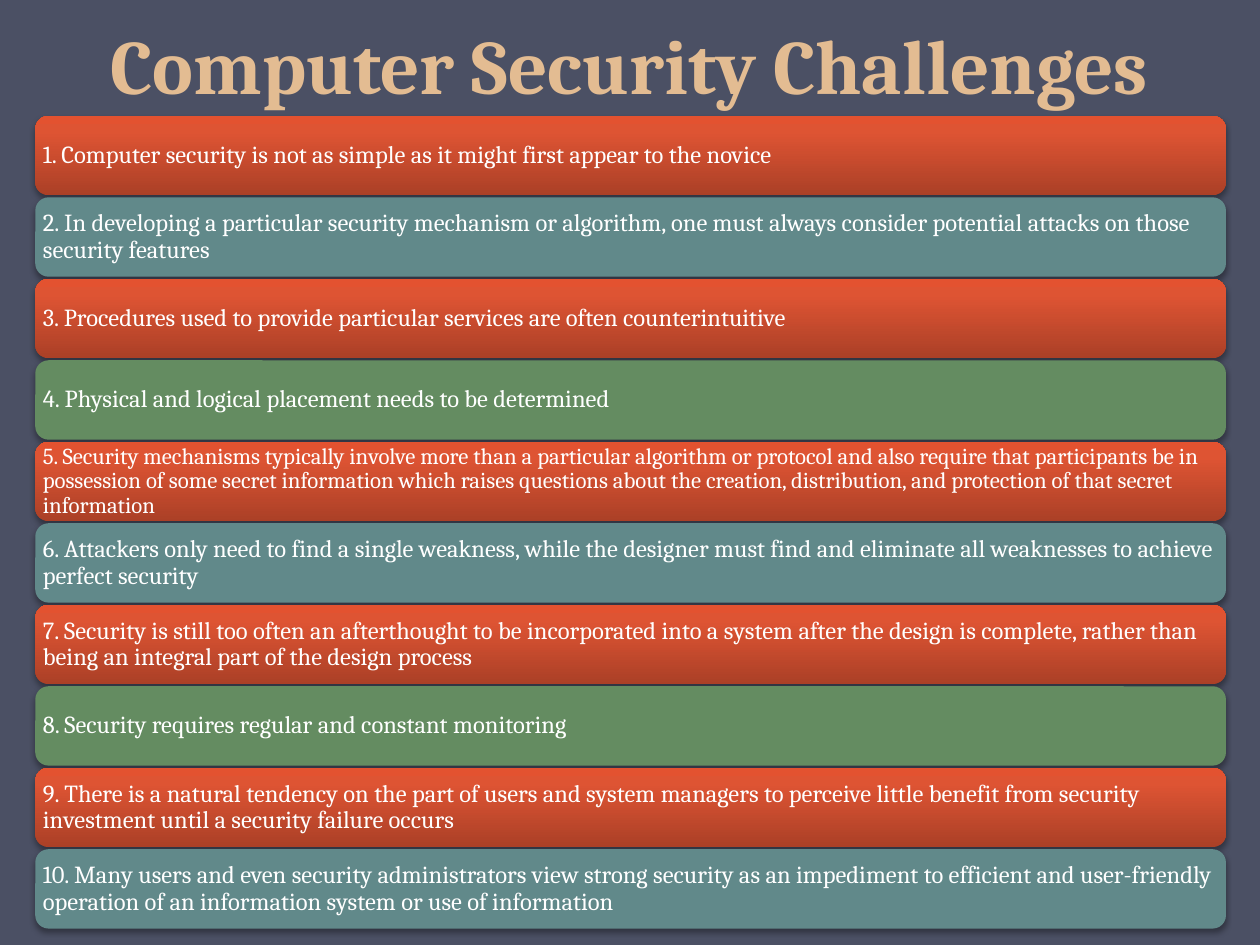
from lxml.etree import SubElement
from pptx import Presentation
from pptx.dml.color import RGBColor
from pptx.enum.shapes import MSO_SHAPE
from pptx.enum.text import MSO_ANCHOR, PP_ALIGN
from pptx.oxml import parse_xml
from pptx.oxml.ns import nsdecls, qn
from pptx.util import Inches, Pt

TITLE = "Computer Security Challenges"
CHALLENGES = [
    "Computer security is not as simple as it might first appear to the novice",
    "In developing a particular security mechanism or algorithm, one must always consider "
    "potential attacks on those security features",
    "Procedures used to provide particular services are often counterintuitive",
    "Physical and logical placement needs to be determined",
    "Security mechanisms typically involve more than a particular algorithm or protocol and "
    "also require that participants be in possession of some secret information which raises "
    "questions about the creation, distribution, and protection of that secret information",
    "Attackers only need to find a single weakness, while the designer must find and "
    "eliminate all weaknesses to achieve perfect security",
    "Security is still too often an afterthought to be incorporated into a system after the "
    "design is complete, rather than being an integral part of the design process",
    "Security requires regular and constant monitoring",
    "There is a natural tendency on the part of users and system managers to perceive little "
    "benefit from security investment until a security failure occurs",
    "Many users and even security administrators view strong security as an impediment to "
    "efficient and user-friendly operation of an information system or use of information",
]

FONT = "Cambria"
SLATE = RGBColor(0x4B, 0x50, 0x64)
SAND = RGBColor(0xE3, 0xBC, 0x92)
RUST = RGBColor(0xCC, 0x5A, 0x3F)
TEAL = RGBColor(0x61, 0x89, 0x8A)
GREEN = RGBColor(0x64, 0x8C, 0x61)
WHITE = RGBColor(0xFF, 0xFF, 0xFF)
BLACK = RGBColor(0, 0, 0)
RED_STOPS = [(0, RGBColor(0xAB, 0x40, 0x27)), (80, RGBColor(0xDE, 0x54, 0x33)),
             (100, RGBColor(0xE3, 0x52, 0x30))]
BAR_FILLS = [RED_STOPS, TEAL, RED_STOPS, GREEN]

BAR_LEFT, BAR_WIDTH, BAR_HEIGHT = 0.28, 9.45, 0.63
FIRST_TOP, LAST_TOP = 0.92, 6.74
BAR_STEP = (LAST_TOP - FIRST_TOP) / (len(CHALLENGES) - 1)
LONG_TEXT = 200


def fill_upward(shape, stops):
    """Gradient that runs from the bottom edge to the top edge."""
    gradient = parse_xml(
        f'<a:gradFill {nsdecls("a")} rotWithShape="1"><a:gsLst/>'
        '<a:lin ang="16200000" scaled="0"/></a:gradFill>')
    for percent, color in stops:
        stop = SubElement(gradient[0], qn("a:gs"), pos=str(percent * 1000))
        SubElement(stop, qn("a:srgbClr"), val=str(color))
    shape._element.spPr.find(qn("a:prstGeom")).addnext(gradient)


def add_soft_shadow(shape):
    shape._element.spPr.append(parse_xml(
        f'<a:effectLst {nsdecls("a")}><a:outerShdw blurRad="{Pt(3.1)}" dist="{Pt(1.8)}" '
        f'dir="5400000" rotWithShape="0"><a:srgbClr val="{BLACK}"><a:alpha val="35000"/>'
        '</a:srgbClr></a:outerShdw></a:effectLst>'))


def write(frame, text, anchor, align, spacing, font):
    frame.word_wrap = True
    frame.vertical_anchor = anchor
    para = frame.paragraphs[0]
    para.alignment, para.line_spacing = align, spacing
    span = para.add_run()
    span.text = text
    span.font.color.rgb = font["color"]
    for name in ("name", "size", "bold"):
        setattr(span.font, name, font[name])
    return span


def add_title(page):
    box = page.shapes.add_textbox(Inches(0.5), 0, Inches(9), Inches(0.92))
    span = write(box.text_frame, TITLE, MSO_ANCHOR.BOTTOM, PP_ALIGN.CENTER, Pt(58),
                 {"name": FONT, "size": Pt(44), "bold": True, "color": SAND})
    span.font._element.insert(0, parse_xml(
        f'<a:ln {nsdecls("a")} w="{Pt(0.83)}"><a:solidFill><a:srgbClr val="{RUST}"/>'
        '</a:solidFill></a:ln>'))


def add_bar(page, index, text):
    bar = page.shapes.add_shape(
        MSO_SHAPE.ROUNDED_RECTANGLE, Inches(BAR_LEFT), Inches(FIRST_TOP + index * BAR_STEP),
        Inches(BAR_WIDTH), Inches(BAR_HEIGHT))
    fill = BAR_FILLS[index % len(BAR_FILLS)]
    if fill is RED_STOPS:
        fill_upward(bar, fill)
    else:
        bar.fill.solid()
        bar.fill.fore_color.rgb = fill
    bar.line.fill.background()
    add_soft_shadow(bar)

    frame = bar.text_frame
    for side in ("left", "right", "top", "bottom"):
        setattr(frame, f"margin_{side}", Inches(0.03))
    size = 13 if len(text) > LONG_TEXT else 14
    write(frame, f"{index + 1}. {text}", MSO_ANCHOR.MIDDLE, PP_ALIGN.LEFT, 0.9,
          {"name": FONT, "size": Pt(size), "bold": False, "color": WHITE})


def main():
    deck = Presentation()
    deck.slide_width, deck.slide_height = Inches(10), Inches(7.5)
    page = deck.slides.add_slide(deck.slide_layouts[6])
    page.background.fill.solid()
    page.background.fill.fore_color.rgb = SLATE
    add_title(page)
    for index, text in enumerate(CHALLENGES):
        add_bar(page, index, text)
    deck.save("out.pptx")


if __name__ == "__main__":
    main()
